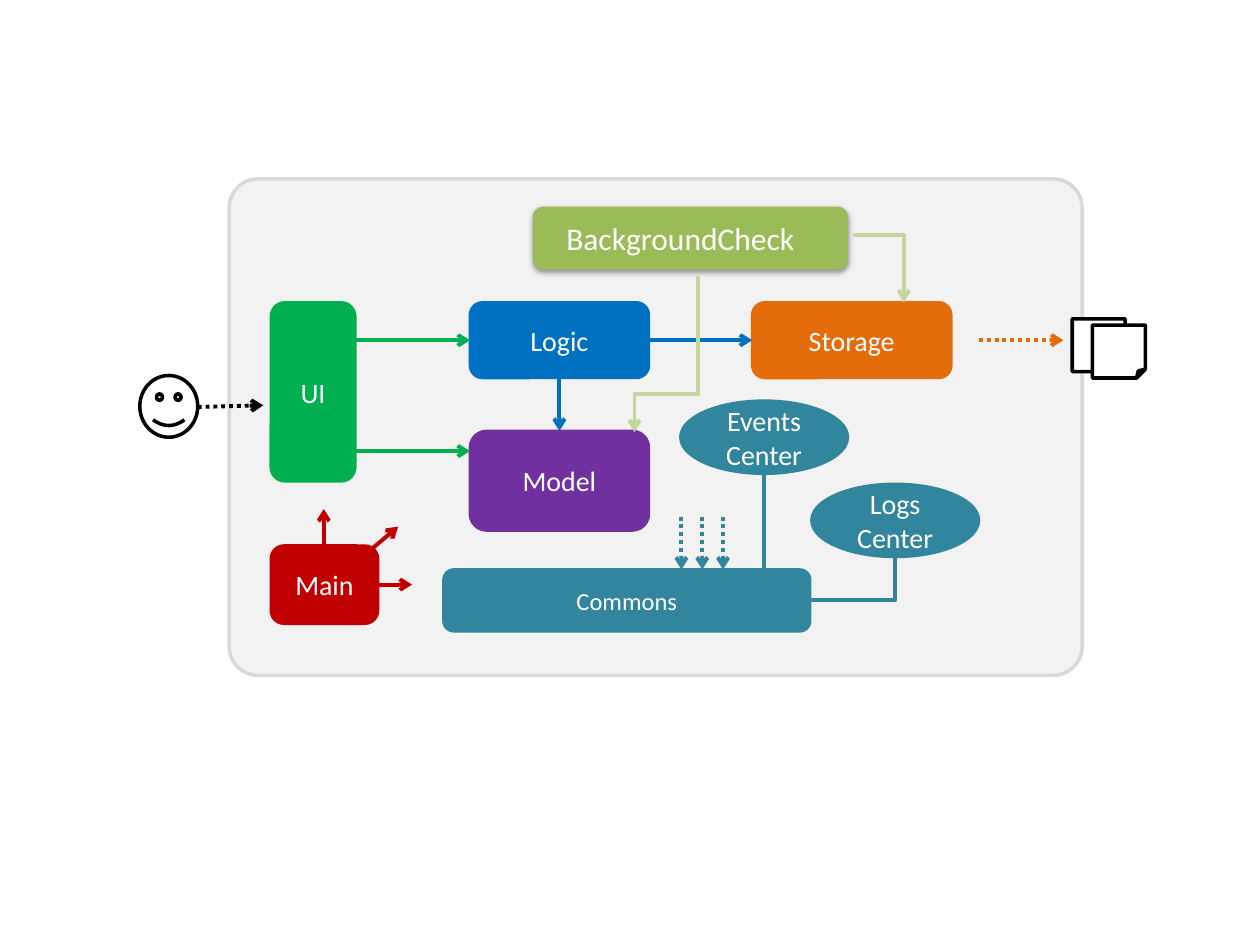
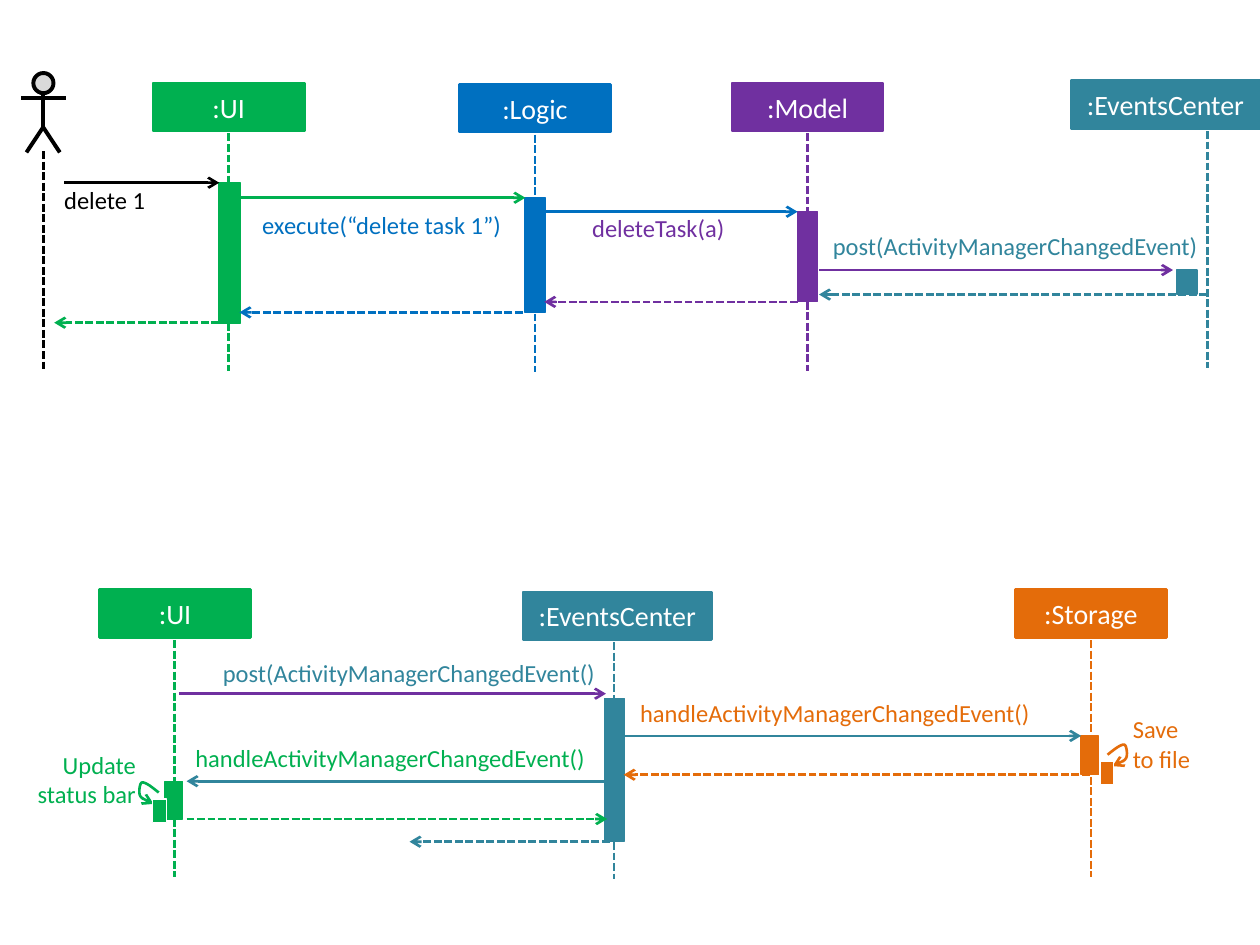
"""Build the architecture slide and the sequence diagram slide."""
from dataclasses import dataclass
from typing import Optional

import pptx
import pptx.dml.color
import pptx.enum.dml
import pptx.enum.shapes
import pptx.enum.text
import pptx.oxml.ns
import pptx.util
from lxml import etree

Pt = pptx.util.Pt
Preset = pptx.enum.shapes.MSO_SHAPE
Connector = pptx.enum.shapes.MSO_CONNECTOR
Dash = pptx.enum.dml.MSO_LINE
Align = pptx.enum.text.PP_ALIGN
qn = pptx.oxml.ns.qn

FONT = "Calibri"
COLOURS = {
    "black": "000000", "white": "FFFFFF", "panel": "F2F2F2", "edge": "D9D9D9",
    "ui": "00B050", "logic": "0070C0", "storage": "E46C0A", "model": "7030A0",
    "commons": "31859C", "main": "C00000", "check": "9BBB59", "check_line": "C3D69B",
}
HEADER_HEIGHT = 27.36
LIFELINE_OFFSET = 28.8
LIFELINE_LENGTH = 135.5


@dataclass
class Block:
    """A filled preset shape, with its text if it has one."""
    left: float
    top: float
    width: float
    height: float
    fill: str
    text: str = ""
    preset: int = Preset.ROUNDED_RECTANGLE
    size: float = 16
    edge: Optional[str] = None
    edge_width: float = 1.5


@dataclass
class Arrow:
    """A straight line that points at its end."""
    x1: float
    y1: float
    x2: float
    y2: float
    colour: str
    width: float = 2.25
    dash: Optional[int] = None
    head: bool = True


@dataclass
class Label:
    """Text without a box."""
    left: float
    top: float
    width: float
    text: str
    colour: str
    align: int = Align.LEFT
    size: float = 14
    height: float = 17.28
    inset: Optional[float] = 0


@dataclass
class Lifeline:
    """A header, the dashed line under it and its activation bar."""
    text: str
    colour: str
    left: float
    top: float
    width: float
    x: float
    bar: tuple[float, float, float, float]


def colour_of(name: str) -> pptx.dml.color.RGBColor:
    """Return the named colour."""
    return pptx.dml.color.RGBColor.from_string(COLOURS[name])


def write_text(shape, text: str, colour: str, size: float, align: int) -> None:
    """Write one paragraph in the shared font."""
    frame = shape.text_frame
    frame.word_wrap = True
    frame.text = text
    paragraph = frame.paragraphs[0]
    paragraph.alignment = align
    paragraph.font.name = FONT
    paragraph.font.size = Pt(size)
    paragraph.font.color.rgb = colour_of(colour)


def draw_block(shapes, block: Block):
    """Draw a preset shape with a flat fill."""
    shape = shapes.add_shape(block.preset, Pt(block.left), Pt(block.top),
                             Pt(block.width), Pt(block.height))
    shape.shadow.inherit = False
    shape.fill.solid()
    shape.fill.fore_color.rgb = colour_of(block.fill)
    shape.line.color.rgb = colour_of(block.edge or block.fill)
    shape.line.width = Pt(block.edge_width)
    if block.text:
        write_text(shape, block.text, "white", block.size, Align.CENTER)
        shape.text_frame.vertical_anchor = pptx.enum.text.MSO_ANCHOR.MIDDLE
    return shape


def style_line(line, colour: str, width: float, dash: Optional[int], head: bool) -> None:
    """Set colour, width, dash and arrowhead of a line."""
    line.color.rgb = colour_of(colour)
    line.width = Pt(width)
    if dash is not None:
        line.dash_style = dash
    if head:
        etree.SubElement(line._get_or_add_ln(), qn("a:tailEnd"), type="arrow")


def draw_arrow(shapes, arrow: Arrow, kind: int = Connector.STRAIGHT):
    """Draw a connector without a shadow."""
    connector = shapes.add_connector(kind, Pt(arrow.x1), Pt(arrow.y1),
                                     Pt(arrow.x2), Pt(arrow.y2))
    style_line(connector.line, arrow.colour, arrow.width, arrow.dash, arrow.head)
    etree.SubElement(connector._element.spPr, qn("a:effectLst"))
    return connector


def draw_elbow(shapes, arrow: Arrow, preset: str, bend: Optional[float] = None) -> None:
    """Draw a bent connector going down, turned by a quarter to either side."""
    width, height = arrow.y2 - arrow.y1, abs(arrow.x2 - arrow.x1)
    left = (arrow.x1 + arrow.x2 - width) / 2
    top = (arrow.y1 + arrow.y2 - height) / 2
    goes_right = arrow.x2 > arrow.x1
    connector = draw_arrow(
        shapes, Arrow(left, top, left + width, top + height, arrow.colour, head=arrow.head),
        Connector.ELBOW)
    properties = connector._element.spPr
    transform = properties.find(qn("a:xfrm"))
    transform.set("rot", str((270 if goes_right else 90) * 60000))
    if goes_right:
        transform.set("flipH", "1")
    geometry = properties.find(qn("a:prstGeom"))
    geometry.set("prst", preset)
    if bend is not None:
        guides = geometry.find(qn("a:avLst"))
        if guides is None:
            guides = etree.SubElement(geometry, qn("a:avLst"))
        etree.SubElement(guides, qn("a:gd"), name="adj1", fmla=f"val {round(bend * 100000)}")


def draw_label(shapes, label: Label) -> None:
    """Draw a text box that grows with its text."""
    box = shapes.add_textbox(Pt(label.left), Pt(label.top), Pt(label.width), Pt(label.height))
    write_text(box, label.text, label.colour, label.size, label.align)
    frame = box.text_frame
    frame.auto_size = pptx.enum.text.MSO_AUTO_SIZE.SHAPE_TO_FIT_TEXT
    if label.inset is not None:
        frame.margin_left = frame.margin_right = Pt(label.inset)
        frame.margin_top = frame.margin_bottom = Pt(label.inset)


def draw_outline(shapes, points: list, colour: str, width: float, head: bool = False) -> None:
    """Draw an open line through the points."""
    corners = [(Pt(x), Pt(y)) for x, y in points]
    builder = shapes.build_freeform(*corners[0])
    builder.add_line_segments(corners[1:], close=False)
    shape = builder.convert_to_shape()
    shape.shadow.inherit = False
    shape.fill.background()
    style_line(shape.line, colour, width, None, head)


def bezier(controls: list, steps: int = 10) -> list:
    """Return points along a cubic curve, its start left out."""
    points = []
    for step in range(1, steps + 1):
        t = step / steps
        weights = ((1 - t) ** 3, 3 * t * (1 - t) ** 2, 3 * t * t * (1 - t), t ** 3)
        points.append(tuple(sum(weight * control[axis] for weight, control
                                in zip(weights, controls)) for axis in (0, 1)))
    return points


def draw_self_call(slide, x: float, y: float, colour: str, side: int) -> None:
    """Draw a looping arrow and a nested bar; side is -1 for left, 1 for right."""
    group = slide.shapes.add_group_shape()
    offsets = [(0, 0), (3.6, -2.9), (7.2, -5.8), (9.4, -5.8), (10.8, -5.8),
               (11.5, -0.7), (10.8, 1.4), (10.1, 3.6), (6.5, 5), (2.9, 6.5)]
    curve = [(x + side * dx, y + dy) for dx, dy in offsets]
    points = curve[:1]
    for start in (0, 3, 6):
        points += bezier(curve[start:start + 4])
    draw_outline(group.shapes, points, colour, 1.5, head=True)
    draw_block(group.shapes, Block(x - side * 0.4 - 3.96, y + 3.6, 7.92, 13.68, colour,
                                   preset=Preset.RECTANGLE, edge="white", edge_width=0.75))


def draw_actor(slide) -> None:
    """Draw the stick figure."""
    shapes = slide.shapes.add_group_shape().shapes
    draw_block(shapes, Block(19.08, 41.76, 11.52, 11.52, "edge", edge="black", edge_width=2.25,
                             preset=Preset.FLOWCHART_CONNECTOR))
    draw_arrow(shapes, Arrow(24.7, 53.28, 24.7, 73.2, "black", head=False))
    draw_outline(shapes, [(15.12, 87.12), (24.7, 72.72), (34.2, 87.12)], "black", 2.25)
    draw_arrow(shapes, Arrow(12.24, 56.16, 37.6, 56.16, "black", head=False))


def draw_lifeline(slide, lifeline: Lifeline) -> None:
    """Draw header, dashed line and activation bar."""
    colour, start = lifeline.colour, lifeline.top + LIFELINE_OFFSET
    draw_block(slide.shapes, Block(lifeline.left, lifeline.top, lifeline.width, HEADER_HEIGHT,
                                   colour, lifeline.text, Preset.RECTANGLE))
    draw_arrow(slide.shapes, Arrow(lifeline.x, start, lifeline.x, start + LIFELINE_LENGTH,
                                   colour, 1.5, Dash.SQUARE_DOT, head=False))
    draw_block(slide.shapes, Block(*lifeline.bar, colour, preset=Preset.RECTANGLE,
                                   edge_width=0.75))


def build_architecture(slide) -> None:
    """Draw the component overview."""
    shapes = slide.shapes
    panel = draw_block(shapes, Block(131, 102.24, 487.4, 283.7, "panel", edge="edge",
                                     edge_width=2))
    panel.adjustments[0] = 0.058
    for block in (
        Block(154.8, 172.8, 48.24, 102.24, "ui", "UI"),
        Block(268.56, 172.8, 102.24, 43.2, "logic", "Logic"),
        Block(429.84, 172.8, 113.76, 43.2, "storage", "Storage"),
        Block(268.56, 246.24, 102.24, 56.88, "model", "Model"),
        Block(253.44, 325.44, 209.52, 35.28, "commons", "Commons", size=14),
        Block(154.8, 311.76, 61.2, 44.64, "main", "Main"),
        Block(388.8, 228.96, 95.76, 41.76, "commons", "Events Center", Preset.OVAL),
        Block(463.68, 276.48, 95.76, 41.76, "commons", "Logs\vCenter", Preset.OVAL),
        Block(79.92, 214.56, 33.12, 35.28, "white", preset=Preset.SMILEY_FACE,
              edge="black", edge_width=2),
    ):
        draw_block(shapes, block)
    for x, y in ((612.72, 182.16), (624.24, 185.76)):
        draw_block(shapes, Block(x, y, 30.24, 30.24, "white", preset=Preset.FOLDED_CORNER,
                                 edge="black", edge_width=2))
    dotted = Dash.ROUND_DOT
    for arrow in (
        Arrow(202.5, 194.4, 268.56, 194.4, "ui"),
        Arrow(202.5, 257.76, 268.56, 257.76, "ui"),
        Arrow(319.68, 216, 319.68, 246.24, "logic"),
        Arrow(370.8, 194.4, 429.84, 194.4, "logic"),
        Arrow(113, 232.56, 150.48, 231.6, "black", dash=dotted),
        Arrow(559.44, 194.4, 607.68, 194.4, "storage", dash=dotted),
        Arrow(216, 334.08, 235.44, 334.08, "main"),
        Arrow(204.48, 320.4, 227.52, 300.96, "main"),
        Arrow(185.04, 314.64, 185.04, 290.88, "main"),
        Arrow(436.5, 271, 436.5, 326, "commons", head=False),
        *(Arrow(x, 295.2, x, 325.44, "commons", dash=dotted) for x in (389.4, 401.3, 413.2)),
    ):
        draw_arrow(shapes, arrow)
    draw_elbow(shapes, Arrow(511.6, 318.6, 463, 342.9, "commons", head=False), "bentConnector2")
    check = draw_block(shapes, Block(304.56, 118.08, 180, 36, "check"))
    check.line.fill.background()
    effects = check._element.spPr.find(qn("a:effectLst"))
    shadow = etree.SubElement(effects, qn("a:outerShdw"), blurRad=str(Pt(3.1)),
                              dist=str(Pt(1.6)), dir="5400000", rotWithShape="0")
    tint = etree.SubElement(shadow, qn("a:srgbClr"), val=COLOURS["black"])
    etree.SubElement(tint, qn("a:alpha"), val="38000")
    draw_label(shapes, Label(289.44, 121.68, 198.72, "BackgroundCheck", "white",
                             Align.CENTER, 18, 28.8, None))
    draw_elbow(shapes, Arrow(398.9, 157.7, 362.6, 247, "check_line"), "bentConnector3", 0.754)
    draw_elbow(shapes, Arrow(487.4, 134.5, 516.4, 172.8, "check_line"), "bentConnector3", 0)


def build_sequence(slide) -> None:
    """Draw the two sequence diagrams."""
    shapes = slide.shapes
    draw_actor(slide)
    draw_arrow(shapes, Arrow(24.7, 86.4, 24.7, 212.4, "black", 1.5, Dash.SQUARE_DOT, False))
    for lifeline in (
        Lifeline(":UI", "ui", 87.5, 47.5, 86.4, 130.5, (125, 104.4, 12.24, 80.64)),
        Lifeline(":Logic", "logic", 262.5, 48.2, 86.4, 305.8, (300, 113, 11.52, 65.5)),
        Lifeline(":Model", "model", 418.3, 47.5, 86.4, 461.6, (455.8, 121, 11.52, 51.1)),
        Lifeline(":EventsCenter", "commons", 612, 46.1, 108, 690, (672.5, 154.3, 11.52, 13.68)),
        Lifeline(":Storage", "storage", 580.2, 337, 86.4, 623.4, (617.8, 420.5, 10.08, 22.3)),
        Lifeline(":EventsCenter", "commons", 298.8, 338.2, 108, 350.8, (345.4, 399.3, 11.52, 81.4)),
        Lifeline(":UI", "ui", 56.9, 337, 86.4, 99.8, (94.3, 446.5, 10.08, 21.6)),
    ):
        draw_lifeline(slide, lifeline)
    calls = (
        (36.7, 104.4, 125.3, "black"), (136.8, 113, 300.2, "ui"), (311, 121, 455.8, "logic"),
        (468, 154.3, 670.3, "model"), (102.2, 396.4, 346.3, "model"),
        (356.4, 420.5, 617.8, "commons"), (347, 446.4, 106.6, "commons"),
    )
    replies = (
        (455.8, 172.5, 311, "model"), (298.8, 178.5, 136.8, "logic"), (125.3, 184.4, 31, "ui"),
        (689.8, 168.3, 468, "commons"), (622.8, 442.7, 356.4, "storage"),
        (348.5, 481, 234, "commons"), (106.6, 468, 347, "ui"),
    )
    for messages, dash in ((calls, None), (replies, Dash.SQUARE_DOT)):
        for start, y, end, colour in messages:
            draw_arrow(shapes, Arrow(start, y, end, y, colour, 1.5, dash))
    draw_self_call(slide, 90.7, 452.9, "ui", -1)
    draw_self_call(slide, 632.9, 431.3, "storage", 1)
    for label in (
        Label(36.7, 105.8, 67.7, "delete 1", "black"),
        Label(149.8, 120.2, 144.7, "execute(“delete task 1”)", "logic"),
        Label(338.4, 121.7, 112.3, "deleteTask(a)", "model"),
        Label(475.9, 131.8, 235.4, "post(ActivityManagerChangedEvent)", "commons"),
        Label(127.4, 375.8, 213.8, "post(ActivityManagerChangedEvent()", "commons"),
        Label(365.8, 398.9, 240.5, "handleActivityManagerChangedEvent()", "storage"),
        Label(111.6, 424.8, 243.4, "handleActivityManagerChangedEvent()", "ui"),
        Label(15.1, 428.4, 62.6, "Update status bar", "ui", Align.RIGHT, height=33.84),
        Label(647.3, 408.2, 42.5, "Save \vto file", "storage", height=33.84),
    ):
        draw_label(shapes, label)


presentation = pptx.Presentation()
presentation.slide_width, presentation.slide_height = Pt(720), Pt(540)
for build in (build_architecture, build_sequence):
    build(presentation.slides.add_slide(presentation.slide_layouts[6]))
presentation.save("out.pptx")
